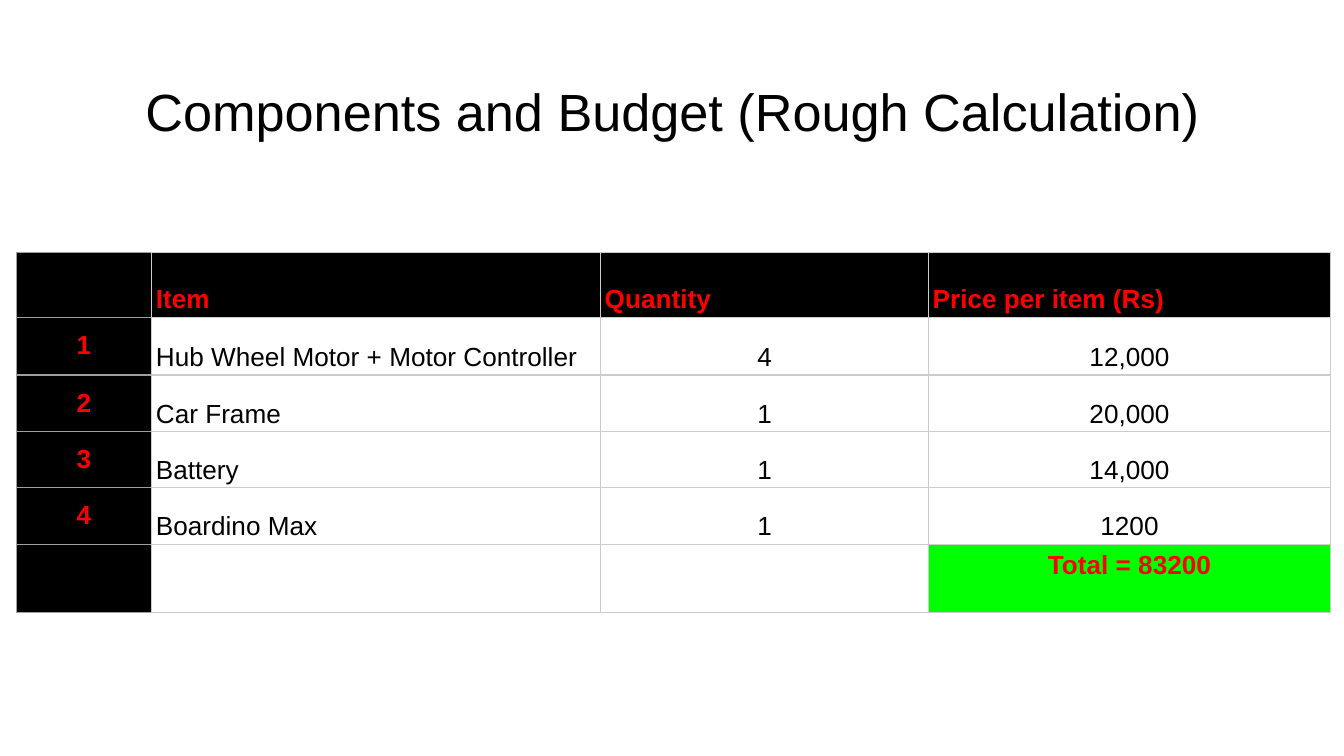
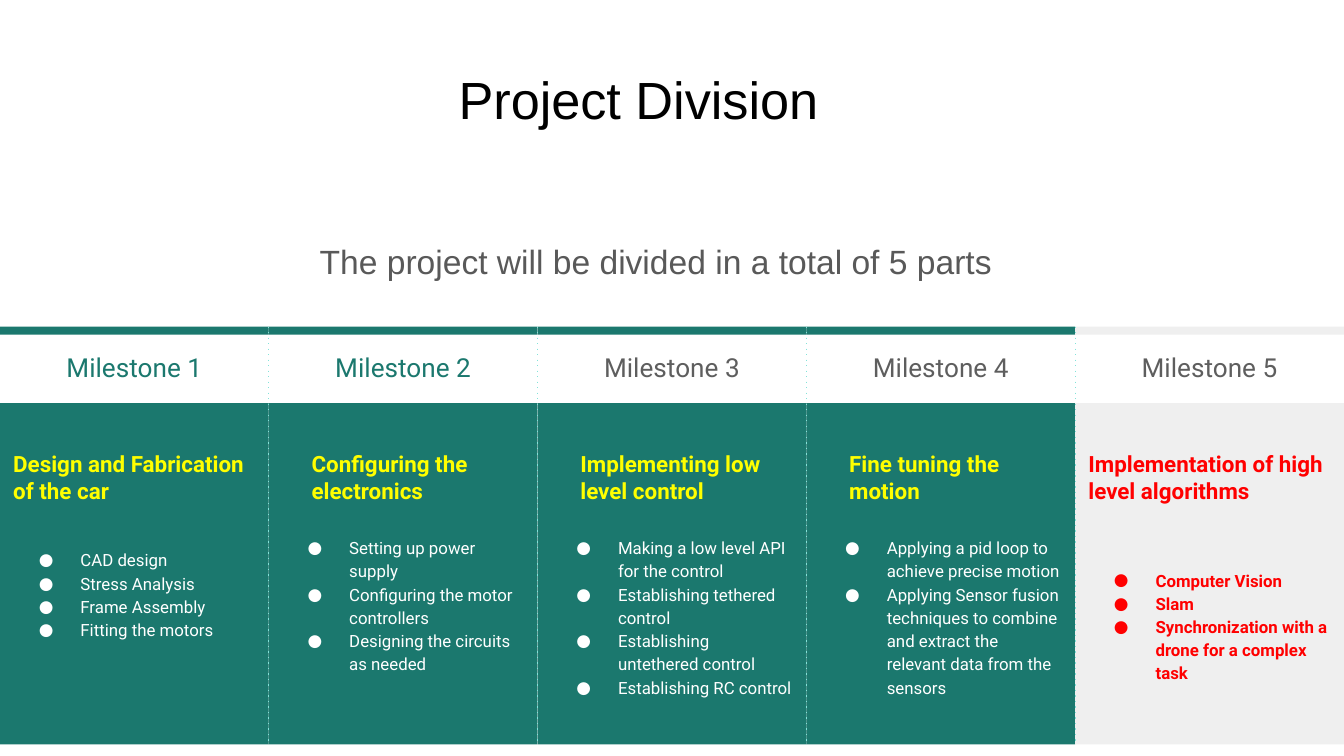
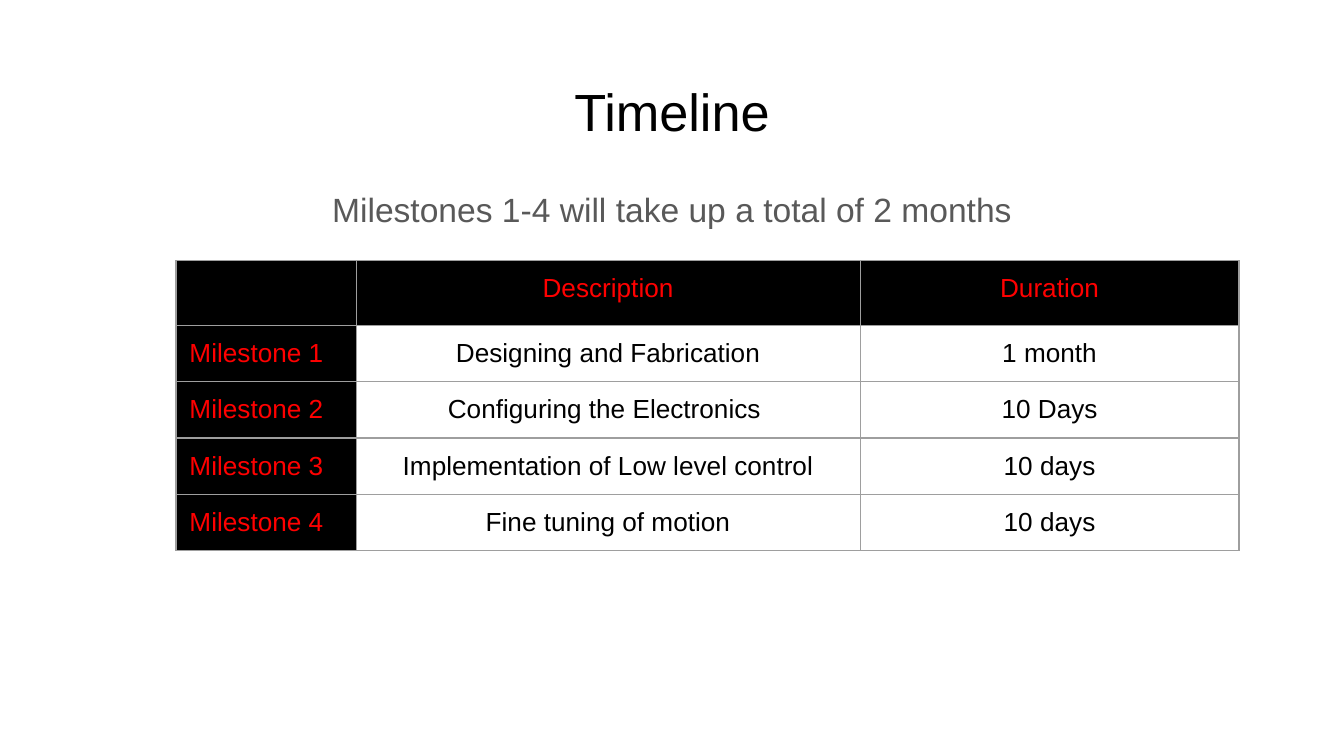
import pptx
import pptx.dml.color
import pptx.enum.shapes
import pptx.enum.text
import pptx.oxml.ns
import pptx.util
from lxml import etree

Inches = pptx.util.Inches
Pt = pptx.util.Pt
RGBColor = pptx.dml.color.RGBColor
ALIGN = pptx.enum.text.PP_ALIGN
ANCHOR = pptx.enum.text.MSO_ANCHOR
SHAPE = pptx.enum.shapes.MSO_SHAPE
qn = pptx.oxml.ns.qn

BLACK = RGBColor(0x00, 0x00, 0x00)
WHITE = RGBColor(0xFF, 0xFF, 0xFF)
RED = RGBColor(0xFF, 0x00, 0x00)
GREEN = RGBColor(0x00, 0xFF, 0x00)
YELLOW = RGBColor(0xFF, 0xFF, 0x00)
TEAL = RGBColor(0x1B, 0x78, 0x6E)
AQUA = RGBColor(0x83, 0xE3, 0xD9)
SLATE = RGBColor(0x59, 0x59, 0x59)
STONE = RGBColor(0x5E, 0x5E, 0x5E)
ASH = RGBColor(0x9E, 0x9E, 0x9E)
SILVER = RGBColor(0xCC, 0xCC, 0xCC)
MIST = RGBColor(0xEF, 0xEF, 0xEF)

BUDGET = [
    ["", "Item", "Quantity", "Price per item (Rs)"],
    ["1", "Hub Wheel Motor + Motor Controller", "4", "12,000"],
    ["2", "Car Frame", "1", "20,000"],
    ["3", "Battery", "1", "14,000"],
    ["4", "Boardino Max", "1", "1200"],
    ["", "", "", "Total = 83200"],
]
TIMES = [
    ["", "Description", "Duration"],
    ["Milestone 1", "Designing and Fabrication", "1 month"],
    ["Milestone 2", "Configuring the Electronics ", "10 Days"],
    ["Milestone 3", "Implementation of Low level control", "10 days"],
    ["Milestone 4", "Fine tuning of motion", "10 days"],
]
# label colour, heading, heading inset, top of the tasks, tasks
STAGES = [
    (TEAL, "Design and Fabrication of the car", 0, 3.97,
     ["CAD design", "Stress Analysis", "Frame Assembly", "Fitting the motors"]),
    (TEAL, "Configuring the electronics", 0.22, 3.88,
     ["Setting up power supply", "Configuring the motor controllers",
      "Designing the circuits as needed"]),
    (STONE, "Implementing low level control", 0.22, 3.88,
     ["Making a low level API for the control", "Establishing tethered control",
      "Establishing untethered control", "Establishing RC control"]),
    (STONE, "Fine tuning the motion", 0.22, 3.88,
     ["Applying a pid loop to achieve precise motion",
      "Applying Sensor fusion techniques to combine and extract "
      "the relevant data from the sensors"]),
    (STONE, "Implementation of high level algorithms", 0, 4.12,
     ["Computer Vision", "Slam", "Synchronization with a drone for a complex task"]),
]
WIDE = 2
TOP = 2.43
FOOT = 5.53


def style(para, size, color, font="Arial", bold=False, align=ALIGN.LEFT, space=None):
    para.alignment = align
    para.line_spacing = space
    for run in para.runs:
        run.font.name = font
        run.font.size = Pt(size)
        run.font.bold = bold
        run.font.color.rgb = color


def pad(box, side, end):
    """Set the left and right, then the top and bottom margins."""
    box.margin_left = box.margin_right = Inches(side)
    box.margin_top = box.margin_bottom = Inches(end)


def settle(frame):
    """Wrap the text and let it start at the top of a fixed box."""
    frame.word_wrap = True
    frame.auto_size = pptx.enum.text.MSO_AUTO_SIZE.NONE
    frame.vertical_anchor = ANCHOR.TOP
    pad(frame, 0.1, 0.1)


def add_text(slide, box, lines, size, color, **look):
    frame = slide.shapes.add_textbox(*map(Inches, box)).text_frame
    settle(frame)
    frame.text = "\n".join(lines)
    for para in frame.paragraphs:
        style(para, size, color, **look)
    return frame


def add_slide(deck, title, left=0.34, top=0.49):
    slide = deck.slides.add_slide(deck.slide_layouts[5])
    head = slide.shapes.title
    head.left, head.top, head.width, head.height = map(Inches, (left, top, 9.32, 0.63))
    settle(head.text_frame)
    head.text_frame.text = title
    style(head.text_frame.paragraphs[0], 28, BLACK, align=ALIGN.CENTER)
    return slide


def add_lead(slide, left, top, text):
    add_text(slide, (left, top, 9.32, 3.74), [text], 18, SLATE,
             align=ALIGN.CENTER, space=1.15)


def edge(cell, color, right):
    """Draw the four borders; the right one has its own colour."""
    for side in "LRTB":
        line = etree.SubElement(cell._tc.get_or_add_tcPr(), qn(f"a:ln{side}"), w=str(Pt(0.75)))
        fill = etree.SubElement(line, qn("a:solidFill"))
        etree.SubElement(fill, qn("a:srgbClr"), val=str(right if side == "R" else color))


def paint(cell, color):
    cell.fill.solid()
    cell.fill.fore_color.rgb = color


def add_grid(slide, left, top, widths, heights, rows, rule, bold=False):
    """Add a table with a black header row and a black first column."""
    box = map(Inches, (left, top, sum(widths), sum(heights)))
    table = slide.shapes.add_table(len(rows), len(widths), *box).table
    table.first_row = table.horz_banding = False
    for col, width in zip(table.columns, widths):
        col.width = Inches(width)
    for r, (row, height) in enumerate(zip(rows, heights)):
        table.rows[r].height = Inches(height)
        for c, text in enumerate(row):
            cell = table.cell(r, c)
            dark = r == 0 or c == 0
            edge(cell, ASH if c == 0 else rule, rule)
            if dark:
                paint(cell, BLACK)
            else:
                cell.fill.background()
            pad(cell, 0.1, 0.1 if text else 0.05)
            cell.text = text
            style(cell.text_frame.paragraphs[0], 14, RED if dark else BLACK,
                  bold=bold and dark, align=ALIGN.CENTER)
    return table


def add_budget(deck):
    slide = add_slide(deck, "Components and Budget (Rough Calculation)")
    table = add_grid(slide, 0.12, 1.88, [1.01, 3.34, 2.44, 2.99],
                     [0.48, 0.43, 0.42, 0.42, 0.42, 0.51], BUDGET, SILVER, bold=True)
    for r in range(len(BUDGET)):
        for c in range(1, 4):
            cell = table.cell(r, c)
            cell.vertical_anchor = ANCHOR.BOTTOM
            pad(cell, 0.03, 0.02)
            para = cell.text_frame.paragraphs[0]
            para.line_spacing = 1.15
            if r == 0 or c == 1:
                para.alignment = ALIGN.LEFT
    total = table.cell(5, 3)
    total.vertical_anchor = ANCHOR.TOP
    paint(total, GREEN)
    style(total.text_frame.paragraphs[0], 14, RED, bold=True,
          align=ALIGN.CENTER, space=1.15)


def add_block(slide, box, color):
    block = slide.shapes.add_shape(SHAPE.RECTANGLE, *map(Inches, box))
    block.shadow.inherit = False
    block.fill.solid()
    block.fill.fore_color.rgb = color
    block.line.fill.background()


def add_dots(para, color):
    props = para._p.get_or_add_pPr()
    props.set("marL", str(Inches(0.5)))
    props.set("indent", str(Inches(-0.31)))
    tint = etree.SubElement(props, qn("a:buClr"))
    etree.SubElement(tint, qn("a:srgbClr"), val=str(color))
    etree.SubElement(props, qn("a:buFont"), typeface="Roboto")
    etree.SubElement(props, qn("a:buChar"), char="●")


def add_stage(slide, left, number, stage, last):
    tint, head, inset, top, tasks = stage
    back = MIST if last else TEAL
    ink = RED if last else WHITE
    add_block(slide, (left, 3, WIDE, 2.54), back)
    add_block(slide, (left, TOP, WIDE, 0.06), back)
    add_text(slide, (left + inset, 3.25, WIDE - 2 * inset, 0.87), [head], 12,
             RED if last else YELLOW, font="Roboto", bold=True)
    body = add_text(slide, (left, top, WIDE - 0.01, FOOT - top), tasks, 9, ink,
                    font="Roboto", bold=last, space=1.15)
    for para in body.paragraphs:
        add_dots(para, ink)
    add_text(slide, (left, 2.48, WIDE, 0.52), [f"Milestone {number}"], 14, tint,
             font="Roboto", align=ALIGN.CENTER, space=1.15)


def add_rule(slide, x):
    rule = slide.shapes.add_connector(pptx.enum.shapes.MSO_CONNECTOR.STRAIGHT,
                                      *map(Inches, (x, TOP, x, FOOT)))
    rule.line.color.rgb = AQUA
    rule.line.width = Pt(0.75)
    props = rule._element.spPr
    etree.SubElement(props.find(qn("a:ln")), qn("a:prstDash"), val="dot")
    etree.SubElement(props, qn("a:effectLst"))


def add_stages(deck):
    slide = add_slide(deck, "Project Division", 0.09, 0.4)
    add_lead(slide, 0.22, 1.65, "The project will be divided in a total of 5 parts")
    count = len(STAGES)
    for n, stage in enumerate(STAGES):
        add_stage(slide, n * WIDE, n + 1, stage, n == count - 1)
    for n in range(1, count):
        add_rule(slide, n * WIDE)


def add_times(deck):
    slide = add_slide(deck, "Timeline")
    add_lead(slide, 0.34, 1.26, "Milestones 1-4 will take up a total of 2 months")
    table = add_grid(slide, 1.31, 1.94, [1.34, 3.75, 2.82],
                     [0.48] + [0.42] * 4, TIMES, ASH)
    for r in range(1, len(TIMES)):
        table.cell(r, 0).text_frame.paragraphs[0].alignment = ALIGN.LEFT


def main():
    deck = pptx.Presentation()
    deck.slide_width = Inches(10)
    deck.slide_height = deck.slide_width * 9 // 16
    add_budget(deck)
    add_stages(deck)
    add_times(deck)
    deck.save("out.pptx")


if __name__ == "__main__":
    main()
